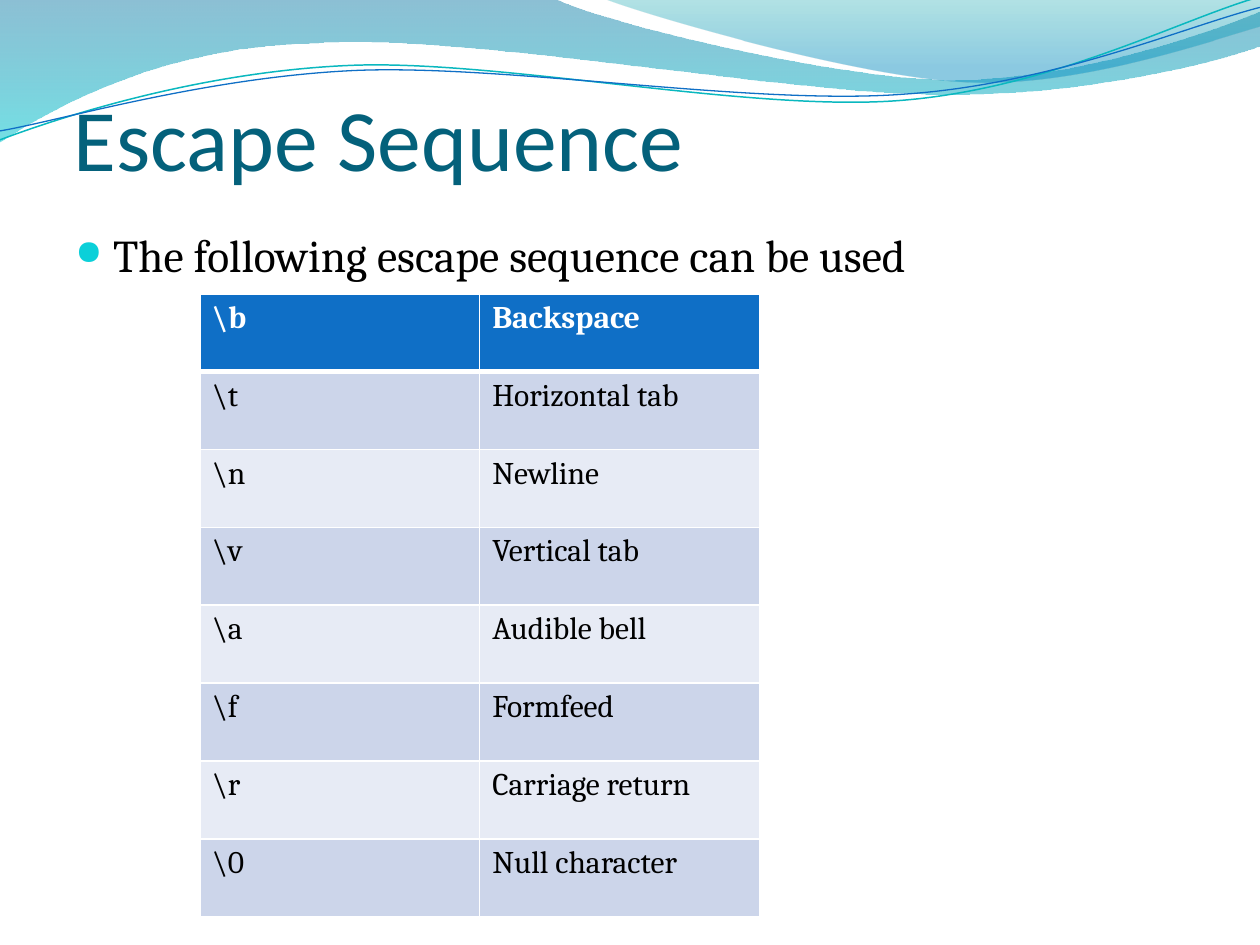
from lxml import etree
from pptx import Presentation
from pptx.dml.color import RGBColor
from pptx.enum.text import MSO_ANCHOR
from pptx.oxml.ns import qn
from pptx.util import Cm, Pt

BOTTOM, TOP = MSO_ANCHOR.BOTTOM, MSO_ANCHOR.TOP
WHITE = RGBColor(0xFF, 0xFF, 0xFF)
BLACK = RGBColor(0, 0, 0)
BLUE = RGBColor(0x0F, 0x6F, 0xC6)
TEAL = RGBColor(0x0A, 0xB8, 0xBF)
TITLE_TEAL = RGBColor(0x04, 0x61, 0x7B)
BULLET_CYAN = RGBColor(0x0B, 0xD0, 0xD9)
STRIPES = RGBColor(0xE7, 0xEB, 0xF5), RGBColor(0xCC, 0xD5, 0xEA)
DEEP_BLUE, AQUA = RGBColor(0, 0x74, 0xA1), RGBColor(0, 0xC6, 0xCF)
SEA_GREEN, SKY_BLUE = RGBColor(0, 0xA1, 0xA9), RGBColor(0, 0x8B, 0xBF)

TITLE = "Escape Sequence"
INTRO = "The following escape sequence can be used"
ESCAPES = [
    (r"\b", "Backspace"),
    (r"\t", "Horizontal tab"),
    (r"\n", "Newline"),
    (r"\v", "Vertical tab"),
    (r"\a", "Audible bell"),
    (r"\f", "Formfeed"),
    (r"\r", "Carriage return"),
    (r"\0", "Null character"),
]

# Outlines in cm: a start point, then lines (x, y) or Bezier curves (six numbers).
# Gradient stops: position, colour, opacity in percent.
BANDS = [
    ([(-0.03, -0.03), (11.18, -0.03),
      (12.09, 0.43, 16.87, 1.6, 19.25, 1.6),
      (21.67, 1.6, 24.33, 0.66, 25.4, 0.23), (25.43, 0.91),
      (24.97, 1.12, 22.1, 1.93, 18.95, 1.9),
      (15.8, 1.9, 9.7, 0.71, 6.53, 0.86),
      (3.28, 0.91, 1.17, 2.11, -0.03, 2.87)],
     [(0, DEEP_BLUE, 45), (1, AQUA, 55)]),
    ([(12.17, -0.03),
      (12.93, 0.28, 17.32, 1.57, 19.53, 1.65),
      (21.74, 1.75, 24.41, 0.81, 25.4, 0.53), (25.4, 0)],
     [(0, SEA_GREEN, 30), (0.8, SKY_BLUE, 45)]),
]
WAVES = [
    ([(0, 2.82),
      (1.22, 2.36, 4.01, 1.45, 7.04, 1.32),
      (10.03, 1.19, 15.06, 2.26, 18.11, 2.03),
      (21.16, 1.8, 23.83, 0.38, 25.35, -0.05)], TEAL, 0.85),
    ([(0, 2.64),
      (1.19, 2.44, 4.17, 1.55, 7.19, 1.42),
      (10.24, 1.3, 15.16, 2.13, 18.21, 1.9),
      (21.23, 1.7, 23.9, 0.53, 25.4, 0.15)], BLUE, 0.75),
]


def add_outline(page, outline, close):
    """Draw a freeform through the end points, then bend its curved segments."""
    start, *ends = [(Cm(part[-2]), Cm(part[-1])) for part in outline]
    builder = page.shapes.build_freeform(*start, scale=1.0)
    builder.add_line_segments(ends, close=close)
    shape = builder.convert_to_shape()
    shape.shadow.inherit = False
    lines = list(shape._element.spPr.iter(qn("a:lnTo")))
    for line, segment in zip(lines, outline[1:]):
        if len(segment) == 2:
            continue
        curve = etree.Element(qn("a:cubicBezTo"))
        for x, y in zip(segment[::2], segment[1::2]):
            etree.SubElement(curve, qn("a:pt"), x=str(Cm(x) - shape.left),
                             y=str(Cm(y) - shape.top))
        line.getparent().replace(line, curve)
    return shape


def add_band(page, outline, stops):
    band = add_outline(page, outline, True)
    band.line.fill.background()
    band.fill.gradient()
    band.fill.gradient_angle = 270
    for stop, (position, color, _) in zip(band.fill.gradient_stops, stops):
        stop.position = position
        stop.color.rgb = color
    colors = band._element.spPr.iter(qn("a:srgbClr"))
    for node, (_, _, opacity) in zip(list(colors), stops):
        etree.SubElement(node, qn("a:alpha"), val=str(opacity * 1000))


def add_wave(page, outline, color, width):
    wave = add_outline(page, outline, False)
    wave.fill.background()
    wave.line.color.rgb = color
    wave.line.width = Pt(width)


def write(frame, text, size, color, font="Cambria", bold=False):
    para = frame.paragraphs[0]
    span = para.add_run()
    span.text = text
    span.font.name = font
    span.font.size = Pt(size)
    span.font.bold = bold
    span.font.color.rgb = color
    return para


def add_text(page, text, left, top, width, height, anchor=TOP, inset=0.25, **style):
    box = page.shapes.add_textbox(Cm(left), Cm(top), Cm(width), Cm(height))
    frame = box.text_frame
    frame.word_wrap = True
    frame.vertical_anchor = anchor
    frame.margin_left = frame.margin_right = Cm(inset)
    if anchor == BOTTOM:
        frame.margin_bottom = 0
    return write(frame, text, **style)


def add_bullet(para, mark, color, percent, indent):
    props = para._p.get_or_add_pPr()
    props.set("marL", str(Cm(indent)))
    props.set("indent", str(-Cm(indent)))
    bullet_color = etree.SubElement(props, qn("a:buClr"))
    etree.SubElement(bullet_color, qn("a:srgbClr"), val=str(color))
    etree.SubElement(props, qn("a:buSzPct"), val=str(percent * 1000))
    etree.SubElement(props, qn("a:buChar"), char=mark)


def set_borders(cell, color, **widths):
    props = cell._tc.get_or_add_tcPr()
    for side, width in widths.items():
        line = etree.SubElement(props, qn(f"a:ln{side}"), w=str(Pt(width)))
        fill = etree.SubElement(line, qn("a:solidFill"))
        etree.SubElement(fill, qn("a:srgbClr"), val=str(color))


def add_escape_table(page, left, top, column_width, header_height, row_height):
    rows, columns = len(ESCAPES), len(ESCAPES[0])
    table = page.shapes.add_table(
        rows, columns, Cm(left), Cm(top),
        Cm(column_width * columns), Cm(row_height * rows)).table
    table.rows[0].height = Cm(header_height)
    for r, entry in enumerate(ESCAPES):
        header = r == 0
        for c, text in enumerate(entry):
            cell = table.cell(r, c)
            set_borders(cell, WHITE, L=1, R=1, T=3 if r == 1 else 1, B=3 if header else 1)
            cell.fill.solid()
            cell.fill.fore_color.rgb = BLUE if header else STRIPES[r % 2]
            write(cell.text_frame, text, 18, WHITE if header else BLACK, bold=header)


def main():
    deck = Presentation()
    deck.slide_width, deck.slide_height = Cm(25.4), Cm(19.05)
    page = deck.slides.add_slide(deck.slide_layouts[6])
    for band in BANDS:
        add_band(page, *band)
    for wave in WAVES:
        add_wave(page, *wave)
    add_text(page, TITLE, 1.48, 0.64, 22.86, 3.18, anchor=BOTTOM, inset=0,
             size=50, color=TITLE_TEAL, font="Calibri")
    intro = add_text(page, INTRO, 1.27, 4.45, 22.86, 13.13, size=26, color=BLACK)
    intro.space_before = Pt(5.2)
    add_bullet(intro, "●", BULLET_CYAN, 75, 0.76)
    add_escape_table(page, 4.03, 5.93, 5.64, 1.56, 1.57)
    deck.save("out.pptx")


if __name__ == "__main__":
    main()
